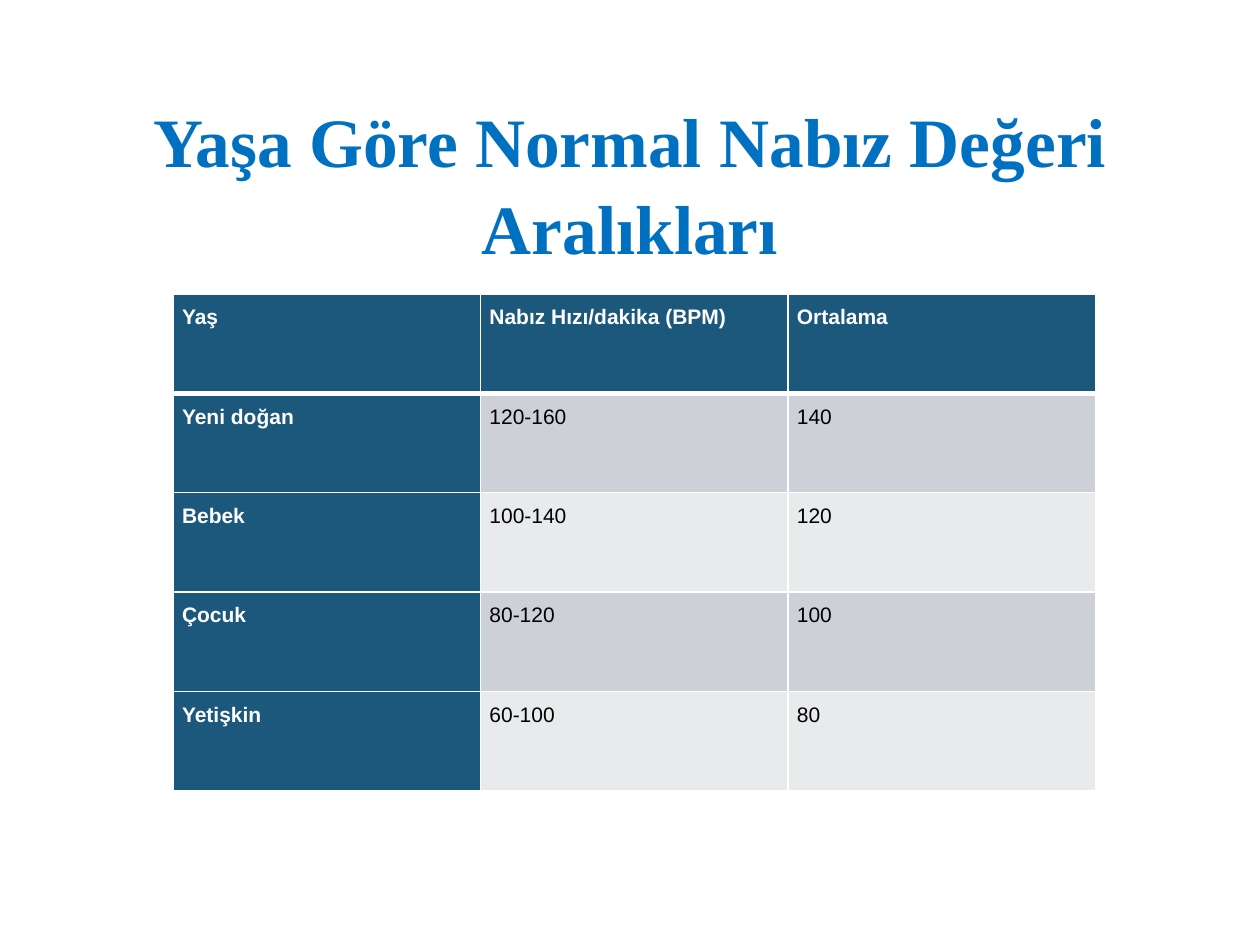
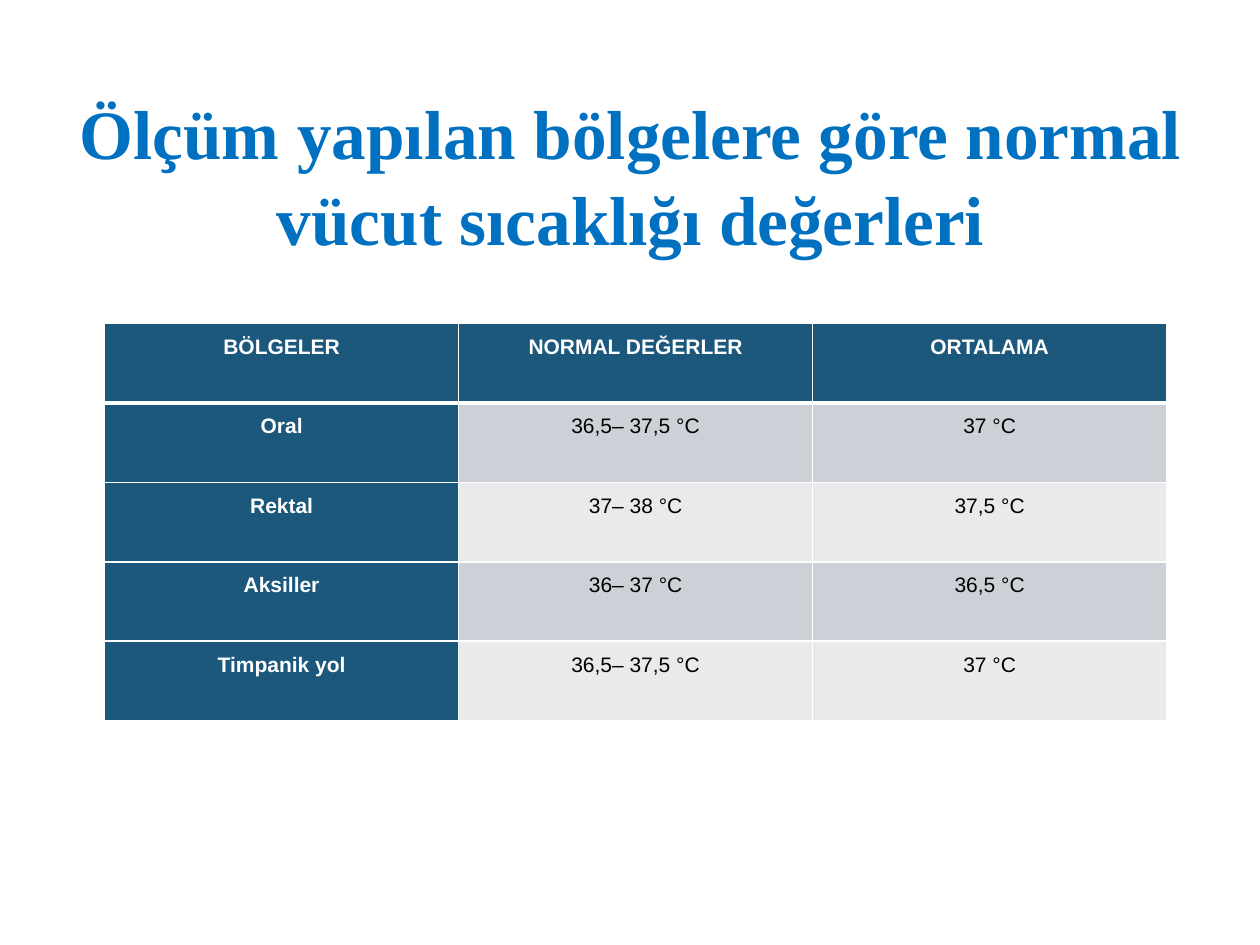
from pptx import Presentation
from pptx.dml.color import RGBColor
from pptx.enum.text import PP_ALIGN
from pptx.oxml import parse_xml
from pptx.oxml.ns import nsdecls
from pptx.util import Pt

CENTER, JUSTIFY = PP_ALIGN.CENTER, PP_ALIGN.JUSTIFY
BLUE, NAVY, WHITE, BLACK = "0070C0", "1B587C", "FFFFFF", "000000"
BANDS = ["E8EAEC", "CDD1D7"]


def color(code):
    return RGBColor.from_string(code)


def write(frame, text, font="Arial", size=12, ink=BLACK, bold=False,
          align=CENTER, space=1.5, pad=(5, 0, 5, 0)):
    frame.word_wrap = True
    frame.margin_left, frame.margin_top, frame.margin_right, frame.margin_bottom = map(Pt, pad)
    para = frame.paragraphs[0]
    para.alignment, para.line_spacing = align, space
    run = para.add_run()
    run.text = text
    run.font.name, run.font.size, run.font.bold = font, Pt(size), bold
    run.font.color.rgb = color(ink)


# Title, title box, table place, column width, row height, alignment, rows
slides = [
    ("Yaşa Göre Normal Nabız Değeri Aralıkları", (36, 48, 648, 90),
     (99, 168), 175.7, 56.75, JUSTIFY, [
         ("Yaş", "Nabız Hızı/dakika (BPM)", "Ortalama"),
         ("Yeni doğan", "120-160", "140"),
         ("Bebek", "100-140", "120"),
         ("Çocuk", "80-120", "100"),
         ("Yetişkin", "60-100", "80")]),
    ("Ölçüm yapılan bölgelere göre normal vücut sıcaklığı değerleri",
     (36.5, 43.2, 648, 130.3),
     (59.8, 185), 202.3, 45.36, CENTER, [
         ("BÖLGELER", "NORMAL DEĞERLER", "ORTALAMA"),
         ("Oral", "36,5– 37,5 °C", "37 °C"),
         ("Rektal", "37– 38 °C", "37,5 °C"),
         ("Aksiller", "36– 37 °C", "36,5 °C"),
         ("Timpanik yol", "36,5– 37,5 °C", "37 °C")]),
]

deck = Presentation()
deck.slide_width, deck.slide_height = Pt(720), Pt(540)

for title, box, (left, top), width, height, align, rows in slides:
    slide = deck.slides.add_slide(deck.slide_layouts[6])

    # Title
    head = slide.shapes.add_textbox(*map(Pt, box))
    write(head.text_frame, title, font="Times New Roman", size=39.6, ink=BLUE,
          bold=True, space=1.04, pad=(7.2, 6.3, 7.2, 3.6))

    # Table
    count = len(rows[0])
    table = slide.shapes.add_table(len(rows), count, Pt(left), Pt(top),
                                   Pt(width * count), Pt(height * len(rows))).table
    for col in table.columns:
        col.width = Pt(width)
    for r, row in enumerate(rows):
        table.rows[r].height = Pt(height)
        for c, text in enumerate(row):
            cell = table.cell(r, c)
            label = r == 0 or c == 0
            write(cell.text_frame, text, ink=WHITE if label else BLACK,
                  bold=label, align=align)
            cell.margin_left = cell.margin_right = Pt(5)
            cell.margin_top = cell.margin_bottom = 0
            cell.fill.solid()
            cell.fill.fore_color.rgb = color(NAVY if label else BANDS[r % 2])

            # White borders, thick under the header row
            props = cell._tc.get_or_add_tcPr()
            for i, side in enumerate("LRTB"):
                thick = (r, side) in [(0, "B"), (1, "T")]
                props.insert(i, parse_xml(
                    f'<a:ln{side} {nsdecls("a")} w="{Pt(3 if thick else 1)}">'
                    f'<a:solidFill><a:srgbClr val="{WHITE}"/></a:solidFill></a:ln{side}>'))

deck.save("out.pptx")
